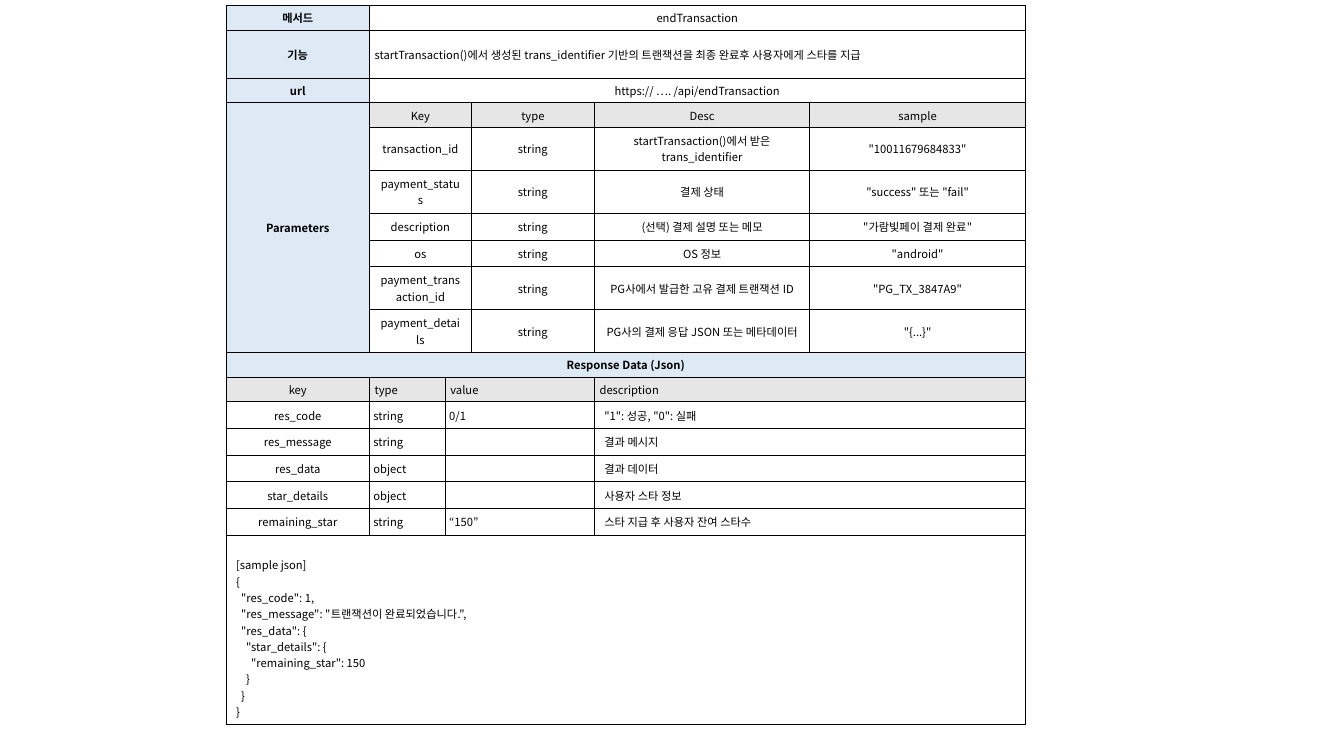
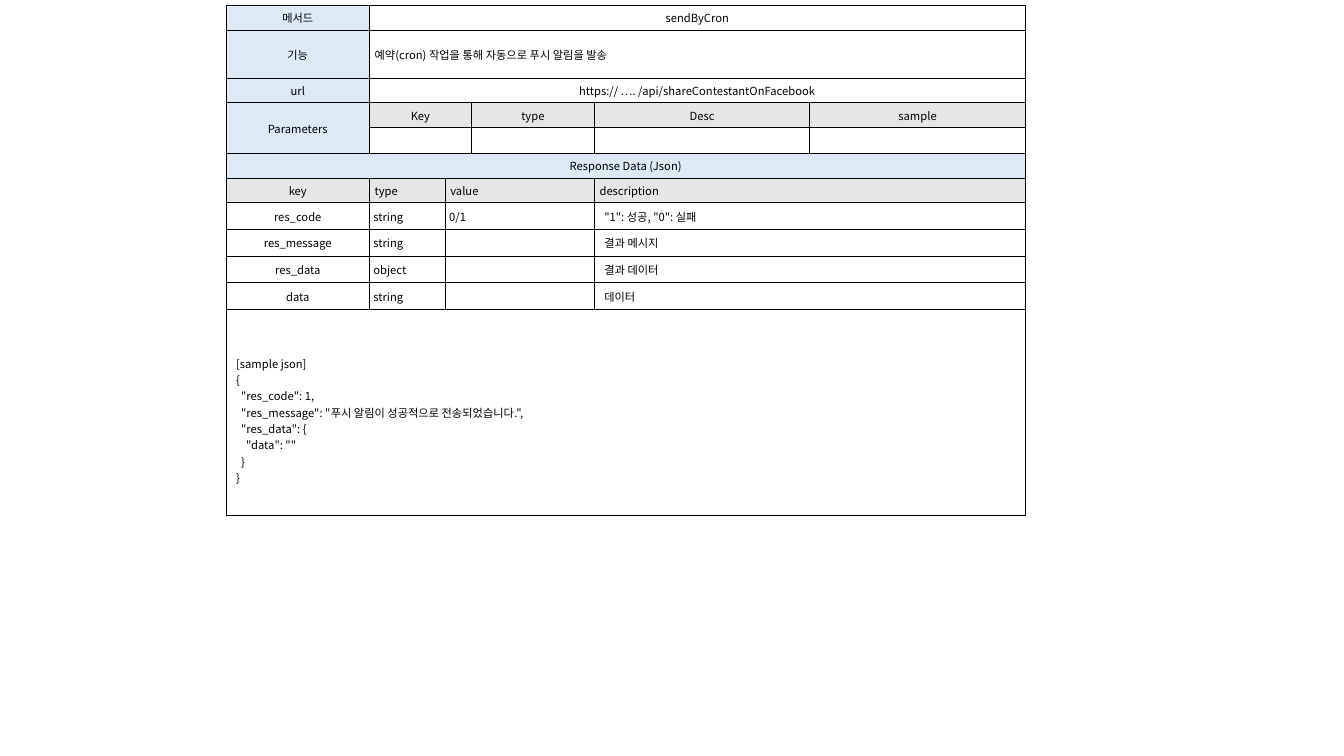
from lxml import etree
from pptx import Presentation
from pptx.dml.color import RGBColor
from pptx.enum import text
from pptx.oxml.ns import qn
from pptx.util import Cm, Pt

# Content: one dict for each API method
# A parameter is (key, type, description, sample, lines of text)
METHODS = [
    {
        "name": "endTransaction",
        "purpose": "startTransaction()에서 생성된 trans_identifier 기반의 트랜잭션을 "
                   "최종 완료후 사용자에게 스타를 지급",
        "url": "https:// …. /api/endTransaction",
        "bold_labels": True,
        "parameters": [
            ("transaction_id", "string", "startTransaction()에서 받은 trans_identifier",
             '"10011679684833"', 2),
            ("payment_status", "string", "결제 상태", '"success" 또는 "fail"', 2),
            ("description", "string", "(선택) 결제 설명 또는 메모", '"가람빛페이 결제 완료"', 1),
            ("os", "string", "OS 정보", '"android"', 1),
            ("payment_transaction_id", "string", "PG사에서 발급한 고유 결제 트랜잭션 ID",
             '"PG_TX_3847A9"', 2),
            ("payment_details", "string", "PG사의 결제 응답 JSON 또는 메타데이터", '"{...}"', 2),
        ],
        "response": [
            ("star_details", "object", "", "사용자 스타 정보"),
            ("remaining_star", "string", "“150”", "스타 지급 후 사용자 잔여 스타수"),
        ],
        "sample": """[sample json]
{
  "res_code": 1,
  "res_message": "트랜잭션이 완료되었습니다.",
  "res_data": {
    "star_details": {
      "remaining_star": 150
    }
  }
}""",
        "sample_height": 4.76,
    },
    {
        "name": "sendByCron",
        "purpose": "예약(cron) 작업을 통해 자동으로 푸시 알림을 발송",
        "url": "https:// …. /api/shareContestantOnFacebook",
        "bold_labels": False,
        "parameters": [("", "", "", "", 1)],
        "response": [("data", "string", "", "데이터")],
        "sample": """[sample json]
{
  "res_code": 1,
  "res_message": "푸시 알림이 성공적으로 전송되었습니다.",
  "res_data": {
    "data": ""
  }
}""",
        "sample_height": 5.18,
    },
]
COMMON_RESPONSE = [
    ("res_code", "string", "0/1", '"1": 성공, "0": 실패'),
    ("res_message", "string", "", "결과 메시지"),
    ("res_data", "object", "", "결과 데이터"),
]
PARAMETER_HEADS = ("Key", "type", "Desc", "sample")
RESPONSE_HEADS = ("key", "type", "value", "description")

# Shared look, lengths in cm
FONT, SIZE = "Noto Sans CJK KR", 8
BLUE, GREY, WHITE, BLACK = "DDEAF6", "E7E6E6", "FFFFFF", "000000"
LEFT, TOP = 5.7, 0.14
COLUMNS = (3.61, 1.91, 0.66, 3.1, 5.43, 5.43)
PARAMETER_SPANS = ((1, 2), (3, 1), (4, 1), (5, 1))  # first column, columns covered
RESPONSE_SPANS = ((0, 1), (1, 1), (2, 2), (4, 2))
HEAD_HEIGHT, PURPOSE_HEIGHT = 0.62, 1.21
BODY_HEIGHTS = {1: 0.66, 2: 1.07}  # by lines of text
HEAD_INSETS = (0.13, 0.1, 0.13, 0.1)  # left, top, right, bottom
BODY_INSETS = (0.25, 0.13, 0.25, 0.13)
TIGHT_INSETS = (0.1, 0.05, 0.1, 0.05)
SAMPLE_INSETS = (0.25, 0.54, 0.25, 0.13)


def colour(value):
    return RGBColor.from_string(value)


def set_base(cell):
    """White cell with thin black borders and a small empty line."""
    cell.fill.solid()
    cell.fill.fore_color.rgb = colour(WHITE)
    properties = cell._tc.get_or_add_tcPr()
    for index, side in enumerate(("lnL", "lnR", "lnT", "lnB")):
        line = etree.Element(qn(f"a:{side}"), w=str(Pt(0.75)))
        fill = etree.SubElement(line, qn("a:solidFill"))
        etree.SubElement(fill, qn("a:srgbClr"), val=BLACK)
        properties.insert(index, line)
    paragraph = cell.text_frame.paragraphs[0]
    etree.SubElement(paragraph._p, qn("a:endParaRPr"), sz=str(SIZE * 100))


def write(cell, content, fill=WHITE, insets=HEAD_INSETS, centred=True, bold=False):
    cell.fill.fore_color.rgb = colour(fill)
    cell.vertical_anchor = text.MSO_ANCHOR.MIDDLE
    (cell.margin_left, cell.margin_top,
     cell.margin_right, cell.margin_bottom) = map(Cm, insets)
    frame = cell.text_frame
    for index, line in enumerate(content.split("\n") if content else []):
        paragraph = frame.add_paragraph() if index else frame.paragraphs[0]
        paragraph.alignment = text.PP_ALIGN.CENTER if centred else text.PP_ALIGN.LEFT
        run = paragraph.add_run()
        run.text = line
        run.font.size = Pt(SIZE)
        run.font.bold = bold
        run.font.color.rgb = colour(BLACK)
        run.font.name = FONT
        etree.SubElement(run.font._element, qn("a:ea"), typeface=FONT)


def span(table, row, column, columns=1, rows=1):
    cell = table.cell(row, column)
    if columns > 1 or rows > 1:
        cell.merge(table.cell(row + rows - 1, column + columns - 1))
    return cell


def add_method(presentation, method):
    slide = presentation.slides.add_slide(presentation.slide_layouts[6])
    parameters = method["parameters"]
    response = COMMON_RESPONSE + method["response"]
    bold = method["bold_labels"]

    # Empty grid
    heights = [HEAD_HEIGHT, PURPOSE_HEIGHT, HEAD_HEIGHT, HEAD_HEIGHT]
    heights += [BODY_HEIGHTS[parameter[-1]] for parameter in parameters]
    heights += [HEAD_HEIGHT] * 2 + [BODY_HEIGHTS[1]] * len(response)
    heights.append(method["sample_height"])
    table = slide.shapes.add_table(
        len(heights), len(COLUMNS), Cm(LEFT), Cm(TOP),
        Cm(sum(COLUMNS)), Cm(sum(heights))).table
    table.first_row = table.horz_banding = False
    for column, width in zip(table.columns, COLUMNS):
        column.width = Cm(width)
    for row, height in zip(table.rows, heights):
        row.height = Cm(height)
        for cell in row.cells:
            set_base(cell)

    # Method, purpose and url
    overview = (("메서드", "name"), ("기능", "purpose"), ("url", "url"))
    for row, (label, key) in enumerate(overview):
        write(table.cell(row, 0), label, BLUE, bold=bold)
        write(span(table, row, 1, 5), method[key], centred=key != "purpose")

    # Parameters
    row = len(overview)
    write(span(table, row, 0, rows=len(parameters) + 1), "Parameters", BLUE, bold=bold)
    for offset, values in enumerate([PARAMETER_HEADS] + parameters):
        fill, insets = (WHITE, BODY_INSETS) if offset else (GREY, HEAD_INSETS)
        for (column, columns), value in zip(PARAMETER_SPANS, values):
            write(span(table, row + offset, column, columns), value, fill, insets)

    # Response data
    row += len(parameters) + 1
    write(span(table, row, 0, 6), "Response Data (Json)", BLUE, bold=bold)
    for offset, values in enumerate([RESPONSE_HEADS] + response):
        for (column, columns), value in zip(RESPONSE_SPANS, values):
            if offset == 0:
                fill, insets = GREY, HEAD_INSETS
            else:
                fill = WHITE
                insets = TIGHT_INSETS if column in (1, 2) else BODY_INSETS
            write(span(table, row + 1 + offset, column, columns), value, fill, insets,
                  centred=column == 0)

    # Sample
    write(span(table, len(heights) - 1, 0, 6), method["sample"],
          insets=SAMPLE_INSETS, centred=False)


def main():
    presentation = Presentation()
    presentation.slide_width, presentation.slide_height = Cm(33.87), Cm(19.05)
    for method in METHODS:
        add_method(presentation, method)
    presentation.save("out.pptx")


if __name__ == "__main__":
    main()
